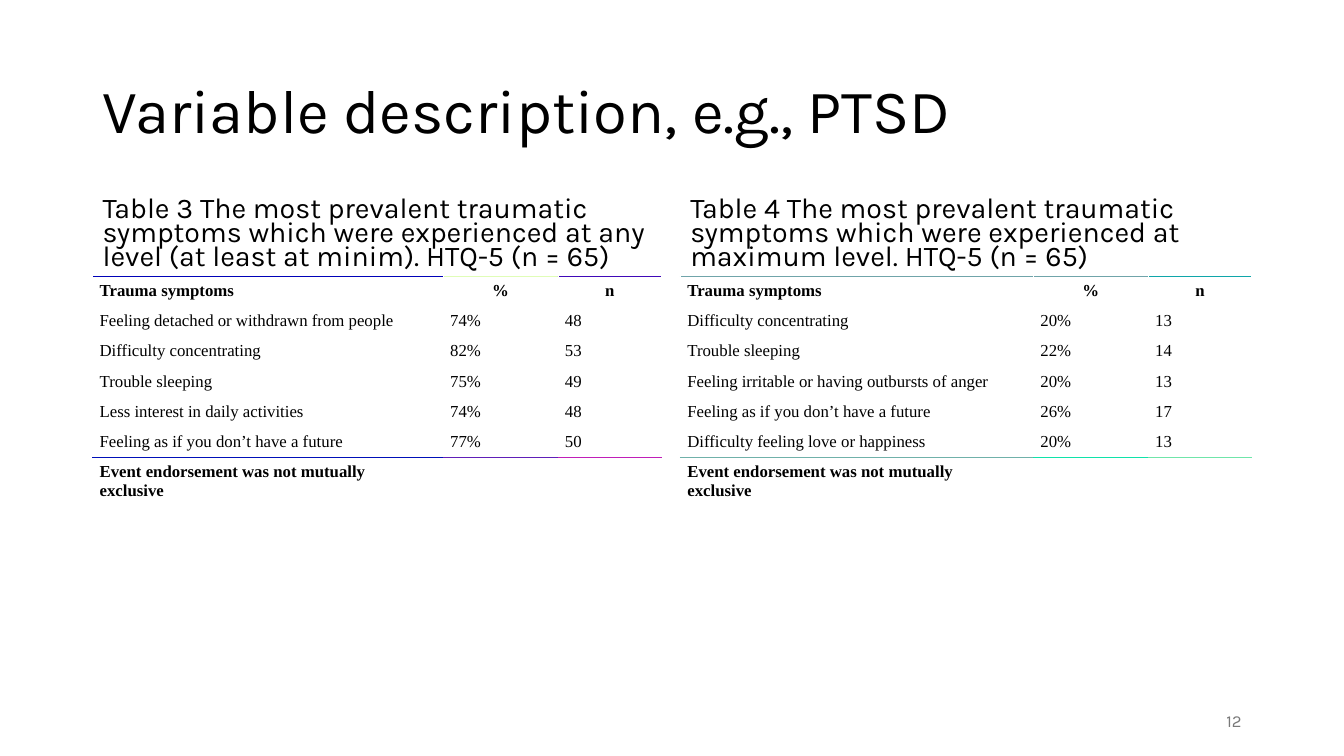
import pptx
import pptx.util
import pptx.dml.color
import pptx.enum.text
import pptx.oxml
import pptx.oxml.ns

Pt = pptx.util.Pt
RGBColor = pptx.dml.color.RGBColor
ALIGN = pptx.enum.text.PP_ALIGN
ANCHOR = pptx.enum.text.MSO_ANCHOR

BLACK = RGBColor(0x00, 0x00, 0x00)
WHITE = RGBColor(0xFF, 0xFF, 0xFF)
GRAY = RGBColor(0x79, 0x79, 0x79)
NAVY = RGBColor(0x00, 0x01, 0xB8)
LIME = RGBColor(0xE0, 0xFD, 0xB7)
INDIGO = RGBColor(0x40, 0x09, 0xB8)
BLUE = RGBColor(0x00, 0x0F, 0xB8)
PURPLE = RGBColor(0x60, 0x1F, 0xB8)
MAGENTA = RGBColor(0xC0, 0x1F, 0xB8)
SLATE = RGBColor(0x70, 0xA4, 0xAA)
TEAL = RGBColor(0x10, 0xA6, 0xAA)
SAGE = RGBColor(0x70, 0xB1, 0xAA)
TURQUOISE = RGBColor(0x10, 0xE2, 0xAA)
MINT = RGBColor(0x70, 0xE5, 0xAA)

HEADER = ("Trauma symptoms", "%", "n")
FOOTER = ("Event endorsement was not mutually exclusive", "", "")
CAPTION_HEIGHT = 64.8
ROW_HEIGHT = 20.5
FOOTER_HEIGHT = 34

PANELS = [
    dict(
        box=(66.2, 132.5, 406.4),
        caption="Table 3 The most prevalent traumatic symptoms which were "
                "experienced at any level (at least at minim). HTQ-5 (n = 65)",
        rows=[
            ("Feeling detached or withdrawn from people", "74%", "48"),
            ("Difficulty concentrating", "82%", "53"),
            ("Trouble sleeping", "75%", "49"),
            ("Less interest in daily activities", "74%", "48"),
            ("Feeling as if you don’t have a future", "77%", "50"),
        ],
        top_rule=(NAVY, LIME, INDIGO),
        bottom_rule=(BLUE, PURPLE, MAGENTA),
    ),
    dict(
        box=(486, 132.5, 408.2),
        caption="Table 4 The most prevalent traumatic symptoms which were "
                "experienced at maximum level. HTQ-5 (n = 65)",
        rows=[
            ("Difficulty concentrating", "20%", "13"),
            ("Trouble sleeping", "22%", "14"),
            ("Feeling irritable or having outbursts of anger", "20%", "13"),
            ("Feeling as if you don’t have a future", "26%", "17"),
            ("Difficulty feeling love or happiness", "20%", "13"),
        ],
        top_rule=(SLATE, SLATE, TEAL),
        bottom_rule=(SAGE, TURQUOISE, MINT),
    ),
]


def write(tf, text, size=12, font="Karla", color=BLACK, bold=False,
          align=ALIGN.LEFT, spacing=None, before=None):
    tf.word_wrap = True
    p = tf.paragraphs[0]
    p.alignment = align
    if spacing:
        p.line_spacing = spacing
    if before:
        p.space_before = Pt(before)
    r = p.add_run()
    r.text = text
    r.font.size = Pt(size)
    r.font.name = font
    r.font.bold = bold
    r.font.color.rgb = color


def add_text(s, box, text, anchor=ANCHOR.MIDDLE, **fmt):
    sp = s.shapes.add_textbox(*map(Pt, box))
    sp.text_frame.vertical_anchor = anchor
    write(sp.text_frame, text, **fmt)


def set_borders(cell, top, bottom):
    tc_pr = cell._tc.get_or_add_tcPr()
    sides = (("lnL", WHITE), ("lnR", WHITE), ("lnT", top), ("lnB", bottom))
    for i, (side, color) in enumerate(sides):
        tc_pr.insert(i, pptx.oxml.parse_xml(
            f'<a:{side} {pptx.oxml.ns.nsdecls("a")} w="{Pt(0.75)}">'
            f'<a:solidFill><a:srgbClr val="{color}"/></a:solidFill></a:{side}>'))


def add_symptom_table(s, left, top, width, rows, top_rule, bottom_rule):
    content = [HEADER, *rows, FOOTER]
    last = len(content) - 1
    height = ROW_HEIGHT * last + FOOTER_HEIGHT
    table = s.shapes.add_table(len(content), len(HEADER), Pt(left), Pt(top),
                               Pt(width), Pt(height)).table
    table.first_row = False
    table.horz_banding = False
    for col, col_width in zip(table.columns, (width - 156, 82, 74)):
        col.width = Pt(col_width)
    for i, values in enumerate(content):
        table.rows[i].height = Pt(FOOTER_HEIGHT if i == last else ROW_HEIGHT)
        for j, value in enumerate(values):
            cell = table.cell(i, j)
            cell.margin_left = Pt(5)
            cell.margin_right = Pt(20 if i == last else 5)
            cell.margin_top = cell.margin_bottom = Pt(3.6)
            cell.fill.background()
            set_borders(
                cell,
                top_rule[j] if i == 0 else bottom_rule[j] if i == last else WHITE,
                bottom_rule[j] if i == last - 1 else WHITE)
            if value:
                write(cell.text_frame, value, font="Times New Roman",
                      bold=i in (0, last),
                      align=ALIGN.CENTER if i == 0 and j else ALIGN.LEFT)


def add_panel(s, box, caption, **table):
    left, top, width = box
    add_text(s, (left, top, width, CAPTION_HEIGHT), caption,
             anchor=ANCHOR.BOTTOM, size=20.4, spacing=0.7, before=10)
    add_symptom_table(s, left, top + CAPTION_HEIGHT, width, **table)


def main():
    prs = pptx.Presentation()
    prs.slide_width, prs.slide_height = Pt(960), Pt(540)
    s = prs.slides.add_slide(prs.slide_layouts[6])
    add_text(s, (66.2, 28.8, 828, 104.4), "Variable description, e.g., PTSD",
             size=44, spacing=0.9)
    for panel in PANELS:
        add_panel(s, **panel)
    add_text(s, (678, 500.5, 216, 28.8), "12", color=GRAY, align=ALIGN.RIGHT)
    prs.save("out.pptx")


if __name__ == "__main__":
    main()
